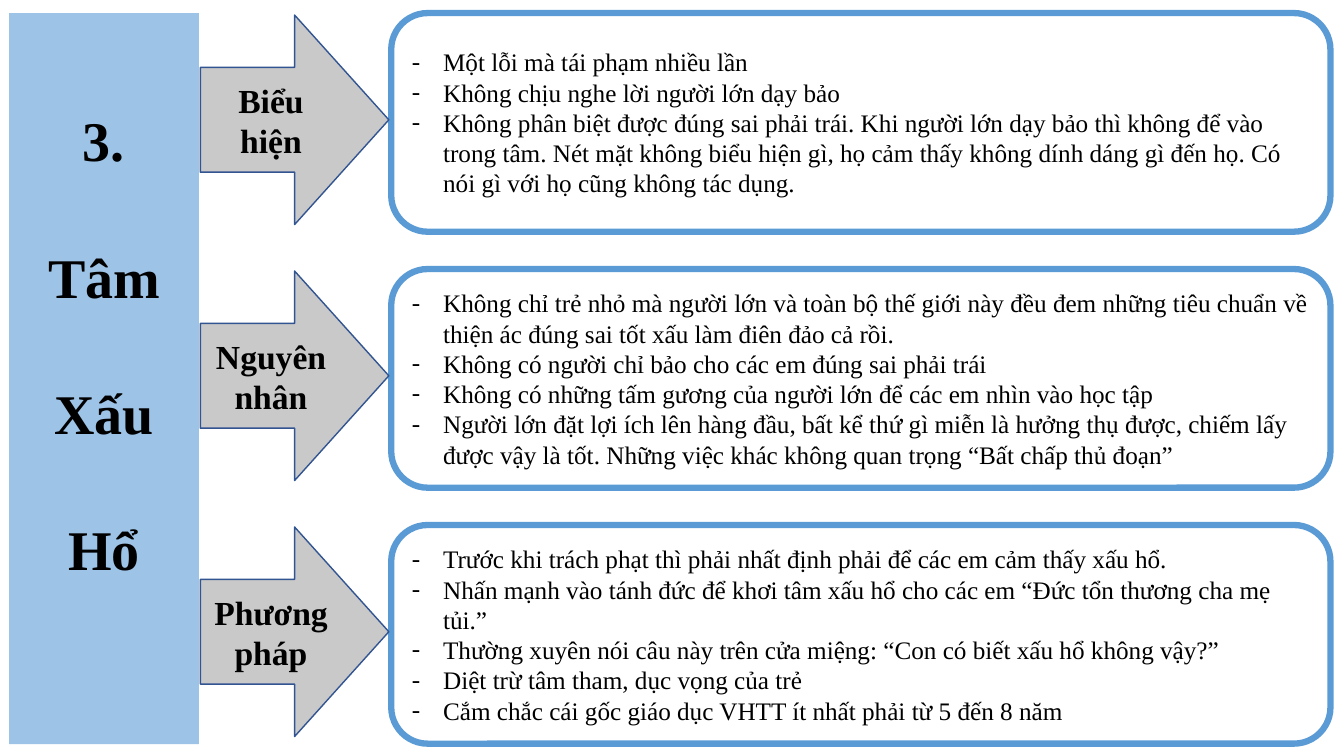
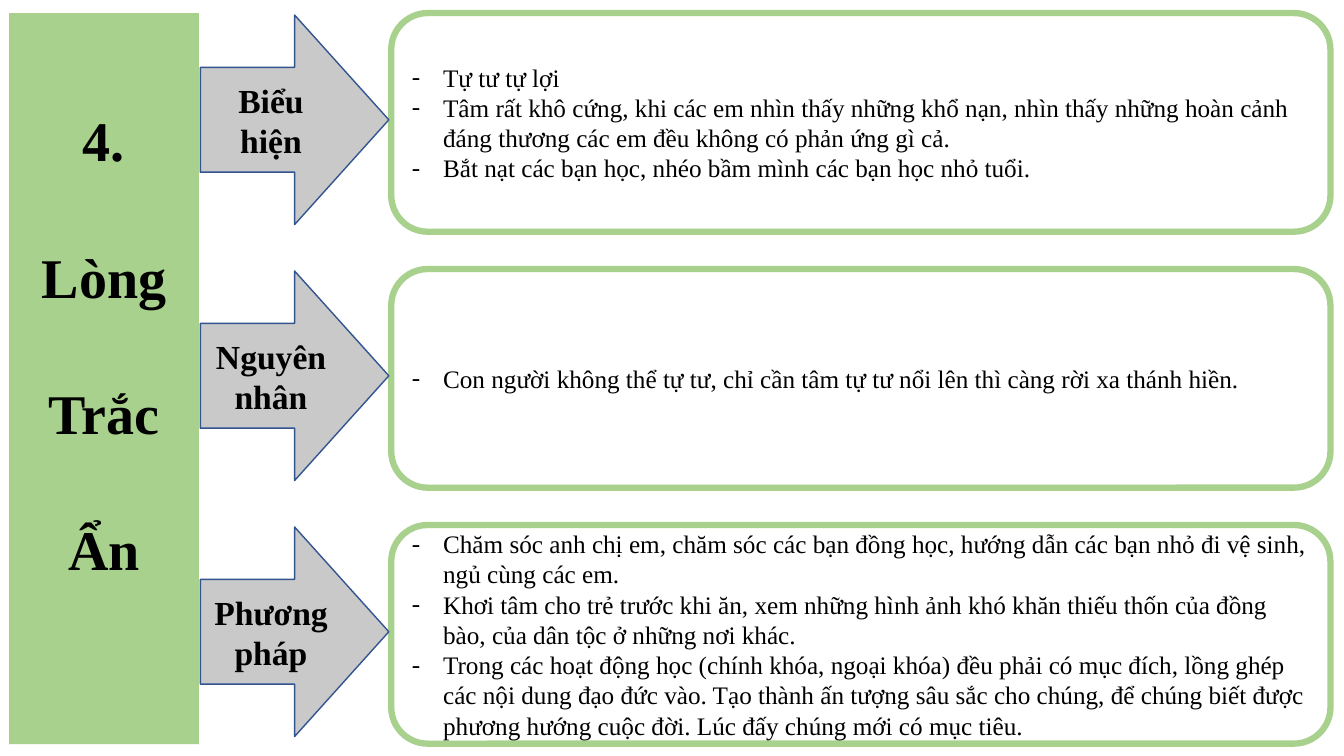
"""Build two slides that sort a virtue into signs, causes and methods."""
from lxml import etree
from pptx import Presentation
from pptx.dml.color import RGBColor
from pptx.enum.shapes import MSO_SHAPE
from pptx.enum.text import MSO_ANCHOR, MSO_AUTO_SIZE, PP_ALIGN
from pptx.oxml.ns import qn
from pptx.util import Cm, Pt

ROUNDED = MSO_SHAPE.ROUNDED_RECTANGLE
ARROW = MSO_SHAPE.RIGHT_ARROW
MIDDLE = MSO_ANCHOR.MIDDLE
LEFT = PP_ALIGN.LEFT
CENTER = PP_ALIGN.CENTER
NO_AUTOFIT = MSO_AUTO_SIZE.NONE

FONT = "Times New Roman"
BLACK = "000000"
WHITE = "FFFFFF"
ARROW_FILL = "C9C9C9"
ARROW_LINE = "325491"

TOP = 0.33
ROW_PITCH = 6.45
BULLET_INDENT = Cm(0.79)
TITLE_GAP = Pt(49.5)

LABELS = ["Biểu hiện", "Nguyên nhân", "Phương pháp"]
SLIDES = [
    {
        "title": ["3.", "Tâm", "Xấu", "Hổ"],
        "band": "9DC3E6",
        "outline": "5B9BD5",
        "rows": [
            [
                "Một lỗi mà tái phạm nhiều lần",
                "Không chịu nghe lời người lớn dạy bảo",
                "Không phân biệt được đúng sai phải trái. Khi người lớn dạy bảo thì không để vào "
                "trong tâm. Nét mặt không biểu hiện gì, họ cảm thấy không dính dáng gì đến họ. "
                "Có nói gì với họ cũng không tác dụng.",
            ],
            [
                "Không chỉ trẻ nhỏ mà người lớn và toàn bộ thế giới này đều đem những tiêu chuẩn "
                "về thiện ác đúng sai tốt xấu làm điên đảo cả rồi.",
                "Không có người chỉ bảo cho các em đúng sai phải trái",
                "Không có những tấm gương của người lớn để các em nhìn vào học tập",
                "Người lớn đặt lợi ích lên hàng đầu, bất kể thứ gì miễn là hưởng thụ được, chiếm "
                "lấy được vậy là tốt. Những việc khác không quan trọng “Bất chấp thủ đoạn”",
            ],
            [
                "Trước khi trách phạt thì phải nhất định phải để các em cảm thấy xấu hổ.",
                "Nhấn mạnh vào tánh đức để khơi tâm xấu hổ cho các em “Đức tổn thương cha mẹ tủi.”",
                "Thường xuyên nói câu này trên cửa miệng: “Con có biết xấu hổ không vậy?”",
                "Diệt trừ tâm tham, dục vọng của trẻ",
                "Cắm chắc cái gốc giáo dục VHTT ít nhất phải từ 5 đến 8 năm",
            ],
        ],
    },
    {
        "title": ["4.", "Lòng", "Trắc", "Ẩn"],
        "band": "A9D18E",
        "outline": "A9D18E",
        "rows": [
            [
                "Tự tư tự lợi",
                "Tâm rất khô cứng, khi các em nhìn thấy những khổ nạn, nhìn thấy những hoàn cảnh "
                "đáng thương các em đều không có phản ứng gì cả.",
                "Bắt nạt các bạn học, nhéo bầm mình các bạn học nhỏ tuổi.",
            ],
            [
                "Con người không thể tự tư, chỉ cần tâm tự tư nổi lên thì càng rời xa thánh hiền.",
            ],
            [
                "Chăm sóc anh chị em, chăm sóc các bạn đồng học, hướng dẫn các bạn nhỏ đi vệ "
                "sinh, ngủ cùng các em.",
                "Khơi tâm cho trẻ trước khi ăn, xem những hình ảnh khó khăn thiếu thốn của đồng "
                "bào, của dân tộc ở những nơi khác.",
                "Trong các hoạt động học (chính khóa, ngoại khóa) đều phải có mục đích, lồng ghép "
                "các nội dung đạo đức vào. Tạo thành ấn tượng sâu sắc cho chúng, để chúng biết "
                "được phương hướng cuộc đời. Lúc đấy chúng mới có mục tiêu.",
            ],
        ],
    },
]


def paint(color_format, color):
    color_format.rgb = RGBColor.from_string(color)


def style_shape(shape, fill, lines, size, bold, alignment):
    shape.fill.solid()
    paint(shape.fill.fore_color, fill)
    frame = shape.text_frame
    frame.text = "\n".join(lines)
    frame.word_wrap = True
    frame.auto_size = NO_AUTOFIT
    frame.vertical_anchor = MIDDLE
    for paragraph in frame.paragraphs:
        paragraph.alignment = alignment
        for run in paragraph.runs:
            run.font.name = FONT
            run.font.size = Pt(size)
            run.font.bold = bold
            paint(run.font.color, BLACK)


presentation = Presentation()
presentation.slide_width = Cm(33.87)
presentation.slide_height = Cm(19.05)
title_only = presentation.slide_layouts[5]

for content in SLIDES:
    slide = presentation.slides.add_slide(title_only)

    title = slide.shapes.title
    title.left, title.top, title.width, title.height = Cm(0.23), Cm(TOP), Cm(4.78), Cm(18.42)
    geometry = etree.SubElement(title._element.spPr, qn("a:prstGeom"), prst="roundRect")
    etree.SubElement(geometry, qn("a:avLst"))
    style_shape(title, content["band"], content["title"], 40, True, CENTER)
    title.text_frame.margin_bottom = Cm(0.13) + TITLE_GAP
    for paragraph in title.text_frame.paragraphs[:-1]:
        paragraph.space_after = TITLE_GAP

    for index, (label, points) in enumerate(zip(LABELS, content["rows"])):
        row_top = TOP + index * ROW_PITCH

        box = slide.shapes.add_shape(ROUNDED, Cm(9.86), Cm(row_top), Cm(23.67), Cm(5.51))
        box.shadow.inherit = False
        style_shape(box, WHITE, points, 18, False, LEFT)
        paint(box.line.color, content["outline"])
        box.line.width = Pt(4.5)
        for paragraph in box.text_frame.paragraphs:
            properties = paragraph._p.get_or_add_pPr()
            properties.set("marL", str(BULLET_INDENT))
            properties.set("indent", str(-BULLET_INDENT))
            etree.SubElement(properties, qn("a:buFont"), typeface=FONT)
            etree.SubElement(properties, qn("a:buChar"), char="-")

        arrow = slide.shapes.add_shape(ARROW, Cm(5.05), Cm(row_top + 0.05), Cm(4.75), Cm(5.28))
        arrow.shadow.inherit = False
        style_shape(arrow, ARROW_FILL, [label], 24, True, CENTER)
        paint(arrow.line.color, ARROW_LINE)
        arrow.line.width = Pt(1)

presentation.save("out.pptx")
